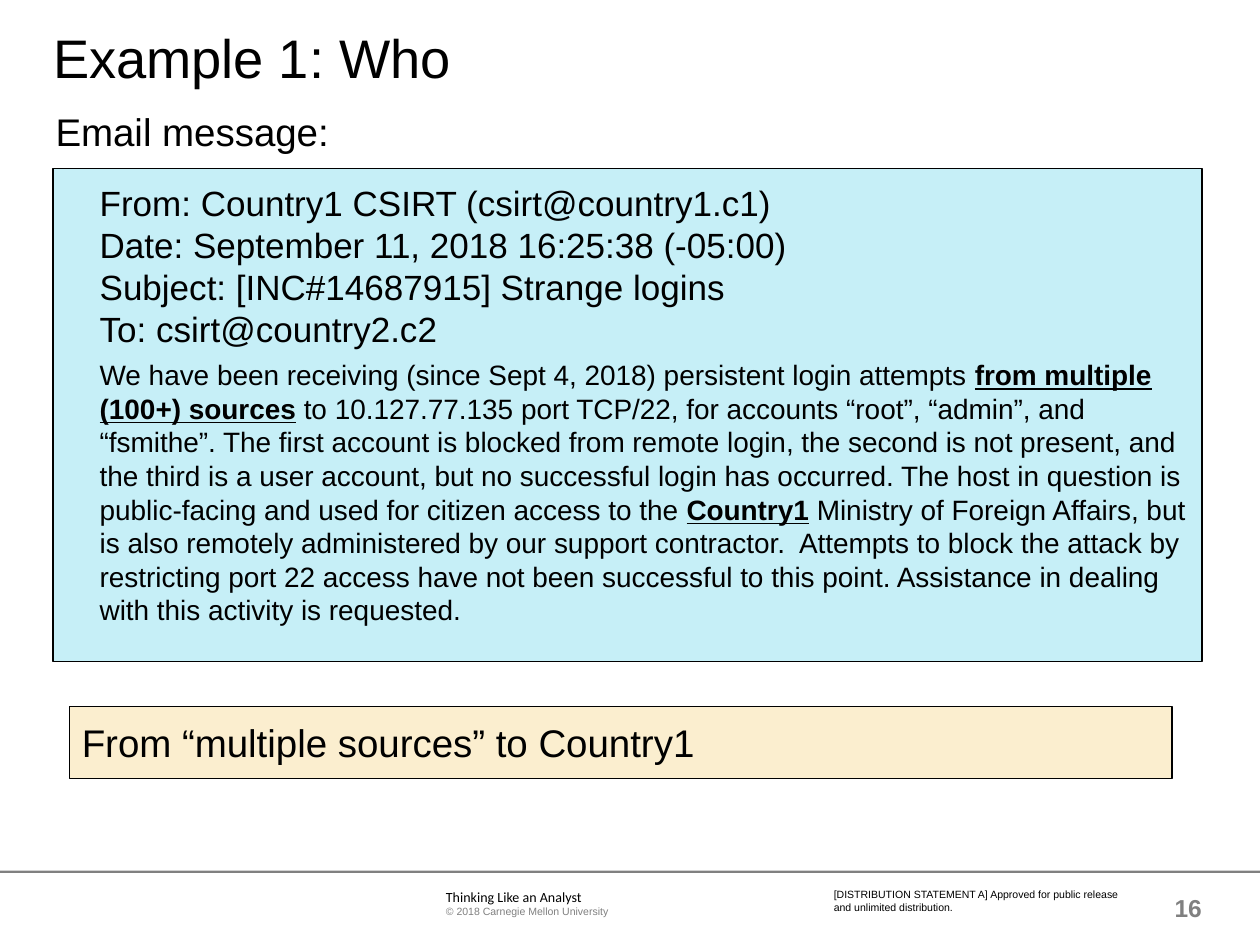
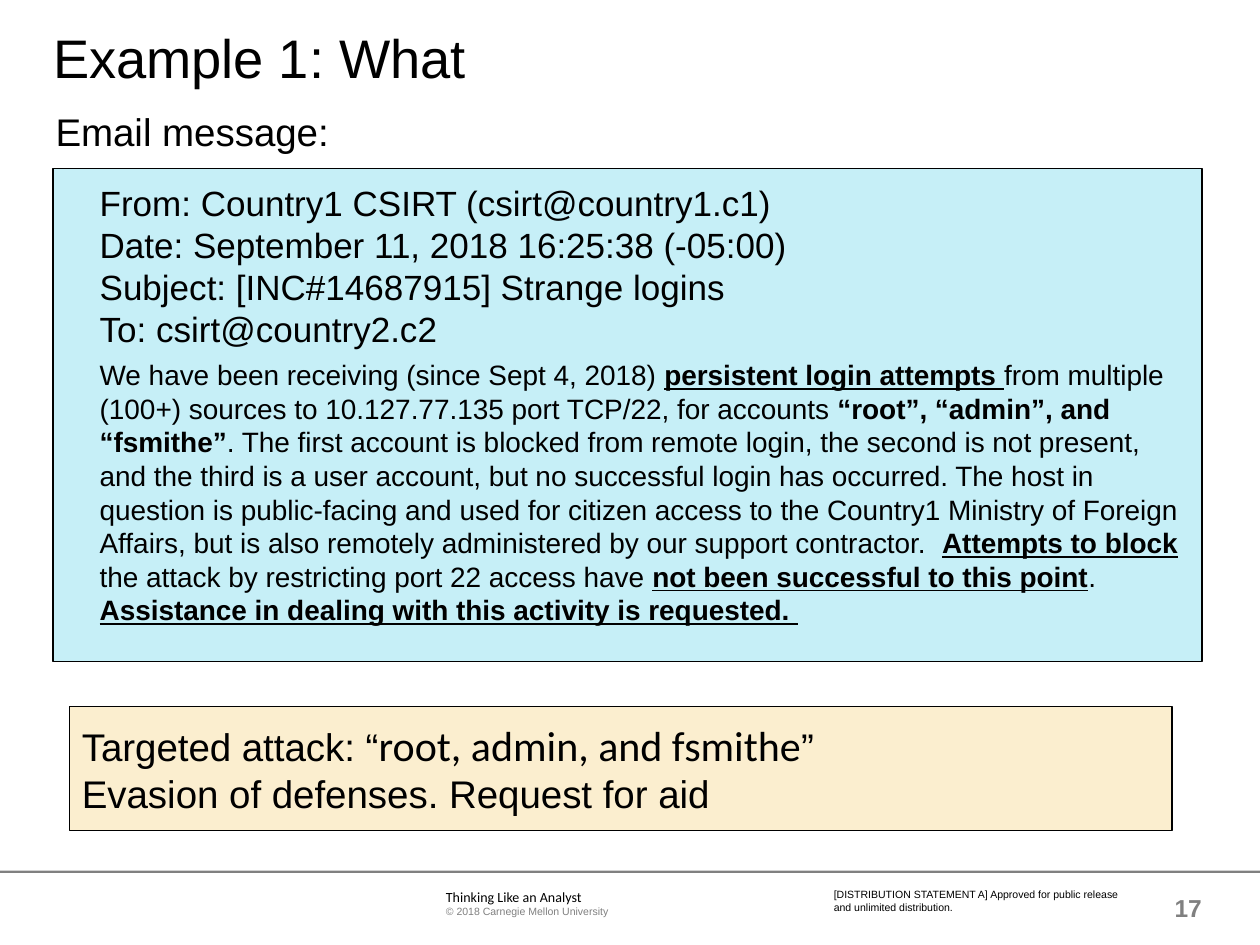
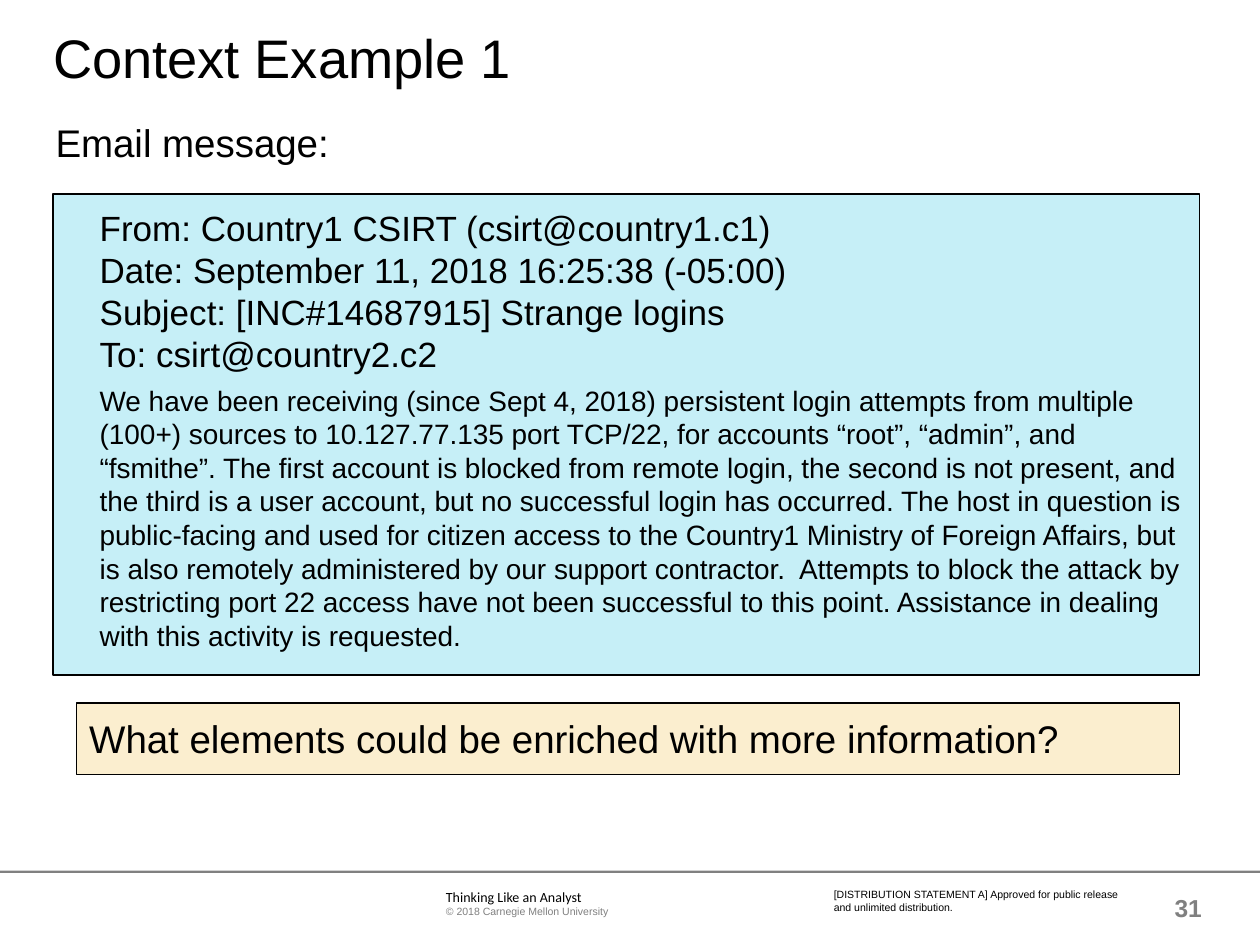
from pptx import Presentation
from pptx.dml.color import RGBColor
from pptx.enum.shapes import MSO_SHAPE
from pptx.enum.text import MSO_ANCHOR, MSO_AUTO_SIZE, PP_ALIGN
from pptx.util import Cm, Pt

RECT = MSO_SHAPE.RECTANGLE
TOP, MIDDLE = MSO_ANCHOR.TOP, MSO_ANCHOR.MIDDLE
LEFT, RIGHT = PP_ALIGN.LEFT, PP_ALIGN.RIGHT
NO_FIT = MSO_AUTO_SIZE.NONE

# Shared look
BLACK, GREY, BLUE, CREAM = "000000", "808080", "C6EFF7", "FBEECF"
EDGE = 1.07
INDENT = Cm(0.94)

# Shared wording
HEADERS = [
    "From: Country1 CSIRT (csirt@country1.c1)",
    "Date: September 11, 2018 16:25:38 (-05:00)",
    "Subject: [INC#14687915] Strange logins",
    "To: csirt@country2.c2",
]
MESSAGE = (
    "We have been receiving (since Sept 4, 2018) persistent login attempts from "
    "multiple (100+) sources to 10.127.77.135 port TCP/22, for accounts “root”, "
    "“admin”, and “fsmithe”. The first account is blocked from remote login, the "
    "second is not present, and the third is a user account, but no successful "
    "login has occurred. The host in question is public-facing and used for "
    "citizen access to the Country1 Ministry of Foreign Affairs, but is also "
    "remotely administered by our support contractor.  Attempts to block the "
    "attack by restricting port 22 access have not been successful to this point. "
    "Assistance in dealing with this activity is requested. "
)

# Per slide: emphasis lists (phrase, underlined) in reading order;
# answer holds lines of (text, size, font) runs; boxes are left, top, width, height
SLIDES = [
    {
        "title": "Example 1: Who", "number": "16", "label_top": 2.18,
        "email_box": (EDGE, 3.4, 23.16, 9.93),
        "emphasis": [("from multiple (100+) sources", True), ("Country1", True)],
        "answer_box": (1.4, 14.25, 22.23, 1.45),
        "answer": [[("From “multiple sources” to Country1", 22, "Arial")]],
    },
    {
        "title": "Example 1: What", "number": "17", "label_top": 2.18,
        "email_box": (EDGE, 3.4, 23.16, 9.93),
        "emphasis": [
            ("persistent login attempts ", True),
            ("“root”, “admin”, and “fsmithe”", False),
            ("Attempts to block ", True),
            ("not been successful to this point", True),
            ("Assistance in dealing with this activity is requested. ", True),
        ],
        "answer_box": (1.4, 14.25, 22.23, 2.49),
        "answer": [
            [("Targeted attack: “", 22, "Arial"),
             ("root, admin, and fsmithe", 24, "Calibri"),
             ("”", 22, "Arial")],
            [("Evasion of defenses. Request for aid", 22, "Arial")],
        ],
    },
    {
        "title": "Context Example 1", "number": "31", "label_top": 2.41,
        "email_box": (EDGE, 3.91, 23.11, 9.7),
        "emphasis": [],
        "answer_box": (1.55, 14.17, 22.23, 1.45),
        "answer": [[("What elements could be enriched with more information?",
                     22, "Arial")]],
    },
]


def add_box(s, box, insets=(0, 0, 0, 0), fill=None, outlined=False):
    """Add a text box, or a rectangle if filled; insets are left, top, right, bottom."""
    place = [Cm(v) for v in box]
    if fill:
        sp = s.shapes.add_shape(RECT, *place)
        sp.shadow.inherit = False
        sp.fill.solid()
        sp.fill.fore_color.rgb = RGBColor.from_string(fill)
        if outlined:
            sp.line.color.rgb = RGBColor.from_string(BLACK)
            sp.line.width = Pt(0.75)
        else:
            sp.line.fill.background()
    else:
        sp = s.shapes.add_textbox(*place)
    tf = sp.text_frame
    tf.word_wrap = True
    tf.auto_size = NO_FIT
    tf.vertical_anchor = TOP
    tf.margin_left, tf.margin_top, tf.margin_right, tf.margin_bottom = map(Cm, insets)
    tf.paragraphs[0].alignment = LEFT
    return tf


def add_run(p, text, size, font="Arial", color=BLACK, bold=False, underline=False):
    r = p.add_run()
    r.text = text
    r.font.size = Pt(size)
    r.font.name = font
    r.font.bold = bold
    r.font.underline = underline
    r.font.color.rgb = RGBColor.from_string(color)


prs = Presentation()
prs.slide_width, prs.slide_height = Cm(25.4), Cm(19.05)

for data in SLIDES:
    s = prs.slides.add_slide(prs.slide_layouts[5])

    # Footer
    add_box(s, (0, 17.55, 25.4, 0.05), fill=GREY)
    tf = add_box(s, (23.11, 17.78, 1.12, 1.02))
    tf.vertical_anchor = MIDDLE
    tf.paragraphs[0].alignment = RIGHT
    add_run(tf.paragraphs[0], data["number"], 14, color=GREY, bold=True)
    tf = add_box(s, (8.99, 17.91, 7.42, 0.61), (0, 0, 0.13, 0))
    add_run(tf.paragraphs[0], "Thinking Like an Analyst", 8, "Calibri")
    add_run(tf.add_paragraph(), "© 2018 Carnegie Mellon University", 6, color=GREY)
    tf = add_box(s, (16.81, 17.91, 5.82, 0.51))
    add_run(tf.paragraphs[0], "[DISTRIBUTION STATEMENT A] Approved for public "
            "release and unlimited distribution.", 6)

    # Title
    title = s.shapes.title
    title.left, title.top = Cm(EDGE), Cm(0.64)
    title.width, title.height = Cm(21.59), Cm(2.44)
    tf = title.text_frame
    tf.margin_left = tf.margin_top = tf.margin_right = tf.margin_bottom = 0
    tf.word_wrap = True
    tf.auto_size = NO_FIT
    tf.vertical_anchor = TOP
    p = tf.paragraphs[0]
    p.alignment = LEFT
    p.line_spacing = 0.9
    add_run(p, data["title"], 31)

    # Email label
    tf = add_box(s, (1.12, data["label_top"], 12.17, 0.94))
    add_run(tf.paragraphs[0], "Email message:", 22)

    # Email headers and message
    tf = add_box(s, data["email_box"], (0, 0.25, 0.25, 0), BLUE, outlined=True)
    p = tf.paragraphs[0]
    for i, header in enumerate(HEADERS):
        if i:
            p.add_line_break()
        add_run(p, header, 20)
    p = tf.add_paragraph()
    p.space_before = Pt(5)
    rest = MESSAGE
    for phrase, underlined in data["emphasis"]:
        before, phrase, rest = rest.partition(phrase)
        add_run(p, before, 16)
        add_run(p, phrase, 16, bold=True, underline=underlined)
    if rest:
        add_run(p, rest, 16)
    for p in tf.paragraphs:
        p.alignment = LEFT
        p.level = 1
        pPr = p._p.get_or_add_pPr()
        pPr.set("marL", str(INDENT))
        pPr.set("indent", "0")

    # Answer
    tf = add_box(s, data["answer_box"], (0.25, 0.25, 0, 0.25), CREAM, outlined=True)
    for i, line in enumerate(data["answer"]):
        p = tf.add_paragraph() if i else tf.paragraphs[0]
        p.alignment = LEFT
        for text, size, font in line:
            add_run(p, text, size, font)

prs.save("out.pptx")
